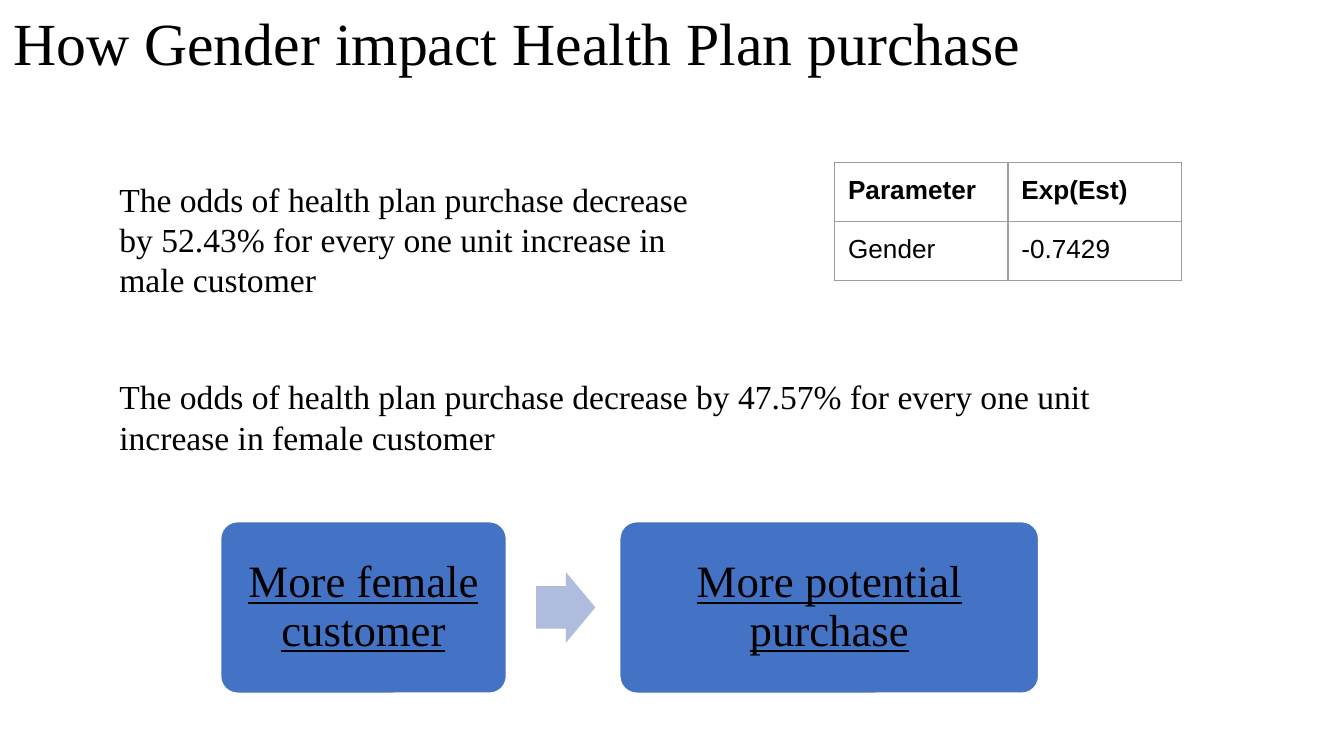
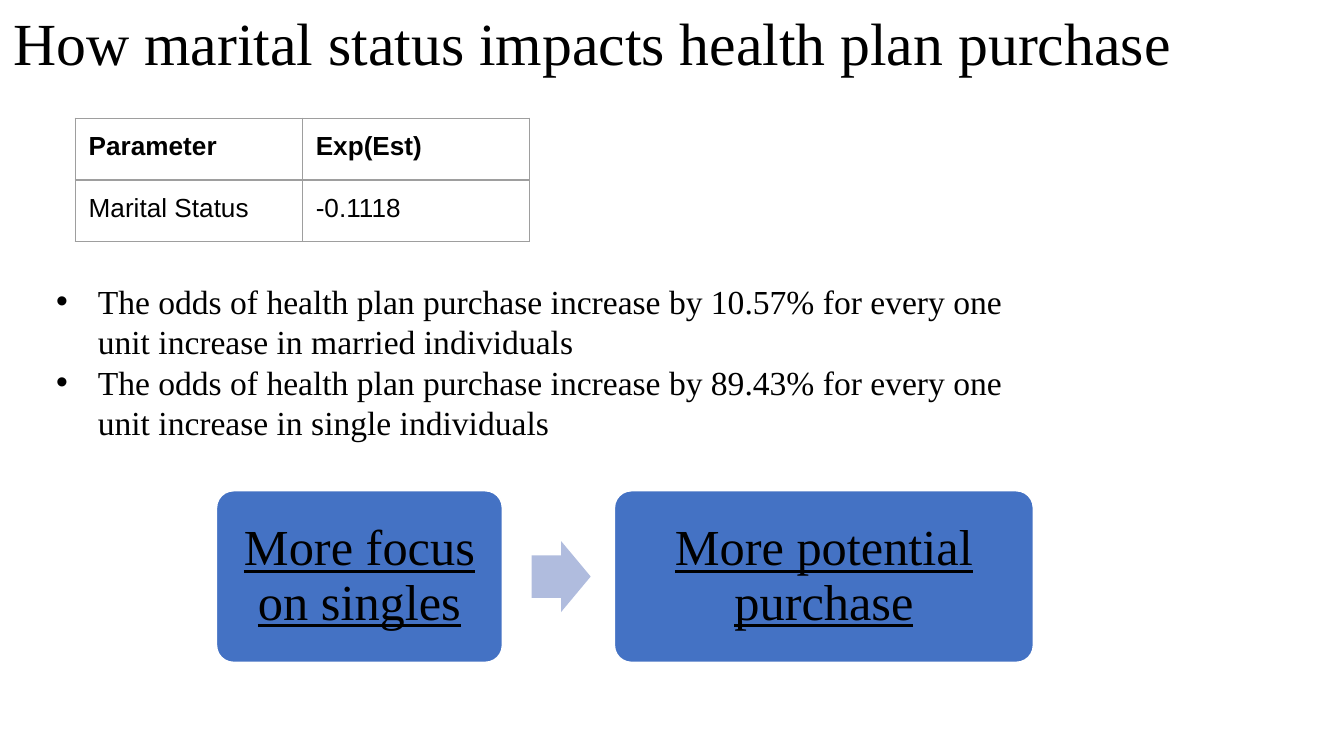
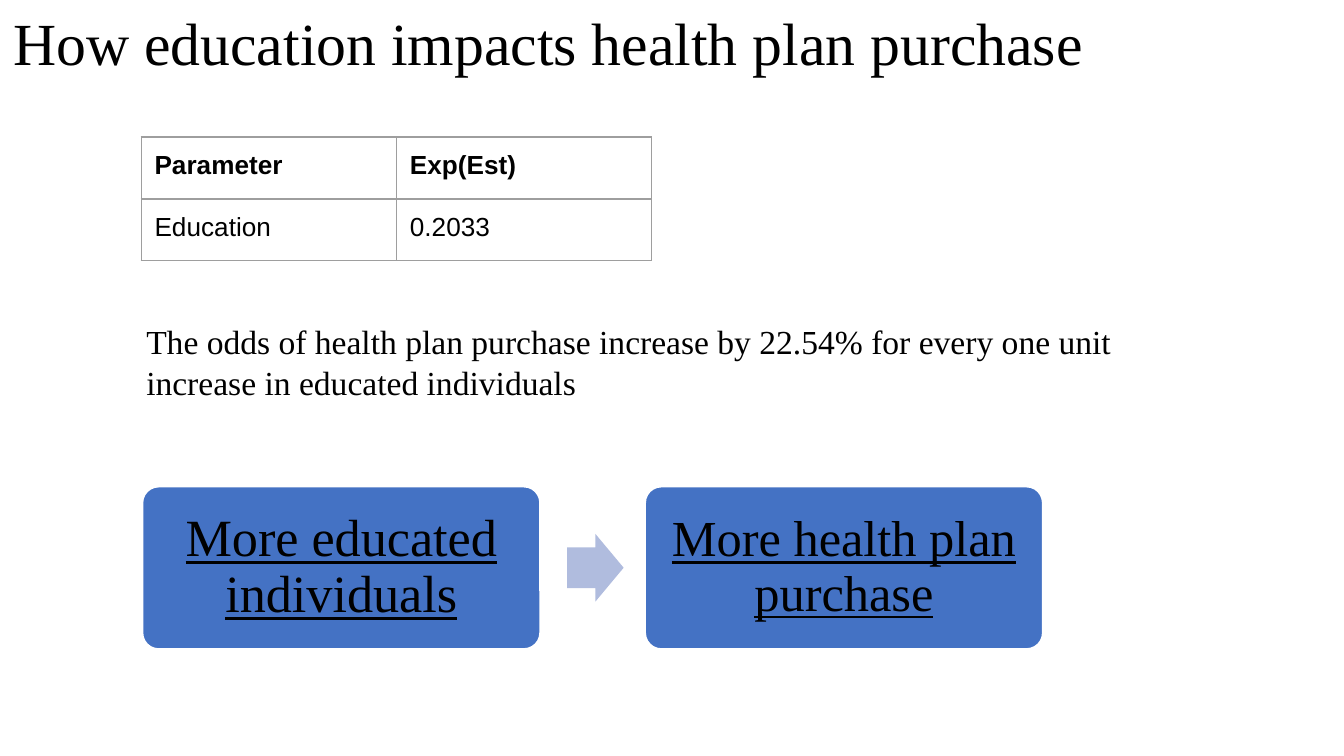
from pptx import Presentation
from pptx.dml.color import RGBColor
from pptx.enum.shapes import MSO_SHAPE as Shape
from pptx.enum.text import MSO_ANCHOR as Anchor, PP_ALIGN as Align
from pptx.oxml.ns import qn
from pptx.util import Inches, Pt
from lxml.etree import SubElement as Sub

# Content: places are left, top, width and height in inches
SLIDES = [
    {
        "title": "How Gender impact Health Plan purchase",
        "table": {"at": (6.21, 1.21), "col": 1.29, "row": 0.44,
                  "cells": [("Parameter", "Exp(Est)"), ("Gender", "-0.7429")]},
        "notes": [
            ((0.79, 2.75, 8.02, 0.71), False,
             ["The odds of health plan purchase decrease by 47.57% for every "
              "one unit increase in female customer"]),
            ((0.79, 1.28, 4.47, 1.01), False,
             ["The odds of health plan purchase decrease by 52.43% for every "
              "one unit increase in male customer"]),
        ],
        "flow": {"top": 3.88, "high": 1.28, "arrow": 0.44, "boxes": [
            (1.64, 2.13, 24, "More female customer"),
            (4.61, 3.12, 24, "More potential purchase")]},
    },
    {
        "title": "How marital status impacts health plan purchase",
        "table": {"at": (0.56, 0.88), "col": 1.69, "row": 0.46,
                  "cells": [("Parameter", "Exp(Est)"), ("Marital Status", "-0.1118")]},
        "notes": [
            ((0.32, 2.04, 7.56, 1.31), True,
             ["The odds of health plan purchase increase by 10.57% for every "
              "one unit increase in married individuals",
              "The odds of health plan purchase increase by 89.43% for every "
              "one unit increase in single individuals"]),
        ],
        "flow": {"top": 3.65, "high": 1.28, "arrow": 0.44, "boxes": [
            (1.61, 2.13, 27, "More focus on singles"),
            (4.57, 3.12, 27, "More potential purchase")]},
    },
    {
        "title": "How education impacts health plan purchase",
        "table": {"at": (1.05, 1.02), "col": 1.9, "row": 0.46,
                  "cells": [("Parameter", "Exp(Est)"), ("Education", "0.2033")]},
        "notes": [
            ((0.99, 2.34, 7.9, 0.71), False,
             ["The odds of health plan purchase increase by 22.54% for every "
              "one unit increase in educated individuals"]),
        ],
        "flow": {"top": 3.62, "high": 1.21, "arrow": 0.42, "boxes": [
            (1.06, 2.96, 28, "More educated individuals"),
            (4.8, 2.96, 27, "More health plan purchase")]},
    },
]

# Shared look
WIDE = Inches(10)
HIGH = WIDE * 9 // 16
SERIF, SANS = "Times New Roman", "Arial"
BLACK = RGBColor(0x00, 0x00, 0x00)
WHITE = RGBColor(0xFF, 0xFF, 0xFF)
BLUE = RGBColor(0x44, 0x72, 0xC4)
PALE = RGBColor(0xB0, 0xBC, 0xDE)
GREY = RGBColor(0x9E, 0x9E, 0x9E)
TITLE = (0, 0, 9.32, 0.63)
SHIFT = 0.02     # arrow offset from the middle of the gap
HANG = 0.31      # bullet indent


def write(frame, lines, size=18, font=SERIF, bold=False, under=False,
          align=Align.LEFT, anchor=Anchor.TOP, space=1.0, pad=(0.1, 0.1),
          bullet=False):
    """Fill a text frame, one paragraph for each line."""
    frame.word_wrap = True
    frame.vertical_anchor = anchor
    frame.margin_left = frame.margin_right = Inches(pad[0])
    frame.margin_top = frame.margin_bottom = Inches(pad[1])
    for i, line in enumerate(lines):
        para = frame.add_paragraph() if i else frame.paragraphs[0]
        para.alignment, para.line_spacing = align, space
        run = para.add_run()
        run.text = line
        run.font.name, run.font.size = font, Pt(size)
        run.font.bold, run.font.underline = bold, under
        run.font.color.rgb = BLACK
        if bullet:
            props = para._p.get_or_add_pPr()
            props.set("marL", str(Inches(HANG)))
            props.set("indent", str(-Inches(HANG)))
            Sub(props, qn("a:buFont"), typeface=SANS)
            Sub(props, qn("a:buChar"), char="•")


def add_text(slide, place, lines, **style):
    box = slide.shapes.add_textbox(*map(Inches, place))
    write(box.text_frame, lines, **style)


def add_form(slide, kind, place, fill, adjust):
    form = slide.shapes.add_shape(kind, *map(Inches, place))
    form.shadow.inherit = False
    form.fill.solid()
    form.fill.fore_color.rgb = fill
    form.line.fill.background()
    for i, value in enumerate(adjust):
        form.adjustments[i] = value
    return form


def add_grid(slide, at, col, row, cells):
    rows, cols = len(cells), len(cells[0])
    place = (*at, col * cols, row * rows)
    grid = slide.shapes.add_table(rows, cols, *map(Inches, place)).table
    grid.first_row = grid.horz_banding = False
    for r, line in enumerate(cells):
        for c, text in enumerate(line):
            cell = grid.cell(r, c)
            write(cell.text_frame, [text], size=14, font=SANS, bold=r == 0)
            cell.margin_left = cell.margin_right = Inches(0.1)
            cell.margin_top = cell.margin_bottom = Inches(0.1)
            props = cell._tc.get_or_add_tcPr()
            for side in ("lnL", "lnR", "lnT", "lnB"):
                edge = Sub(props, qn("a:" + side), w=str(Pt(0.75)))
                Sub(Sub(edge, qn("a:solidFill")), qn("a:srgbClr"), val=str(GREY))
            cell.fill.background()


def add_flow(slide, top, high, arrow, boxes):
    for left, wide, size, text in boxes:
        box = add_form(slide, Shape.ROUNDED_RECTANGLE, (left, top, wide, high),
                       BLUE, [0.1])
        box.line.color.rgb, box.line.width = WHITE, Pt(1)
        write(box.text_frame, [text], size=size, under=True, align=Align.CENTER,
              anchor=Anchor.MIDDLE, space=0.9, pad=(0.11, 0.13))
    # The arrow sits in the gap, level with the middle of the boxes
    end, start = boxes[0][0] + boxes[0][1], boxes[1][0]
    tall = arrow * 1.2
    place = ((end + start - arrow) / 2 + SHIFT, top + (high - tall) / 2, arrow, tall)
    add_form(slide, Shape.RIGHT_ARROW, place, PALE, [0.6, 0.5])


def main():
    deck = Presentation()
    deck.slide_width, deck.slide_height = WIDE, HIGH
    for data in SLIDES:
        slide = deck.slides.add_slide(deck.slide_layouts[6])
        add_text(slide, TITLE, [data["title"]], size=32, space=0.9)
        for place, bullet, lines in data["notes"]:
            add_text(slide, place, lines, bullet=bullet, pad=(0.1, 0.05))
        add_grid(slide, **data["table"])
        add_flow(slide, **data["flow"])
    deck.save("out.pptx")


if __name__ == "__main__":
    main()
